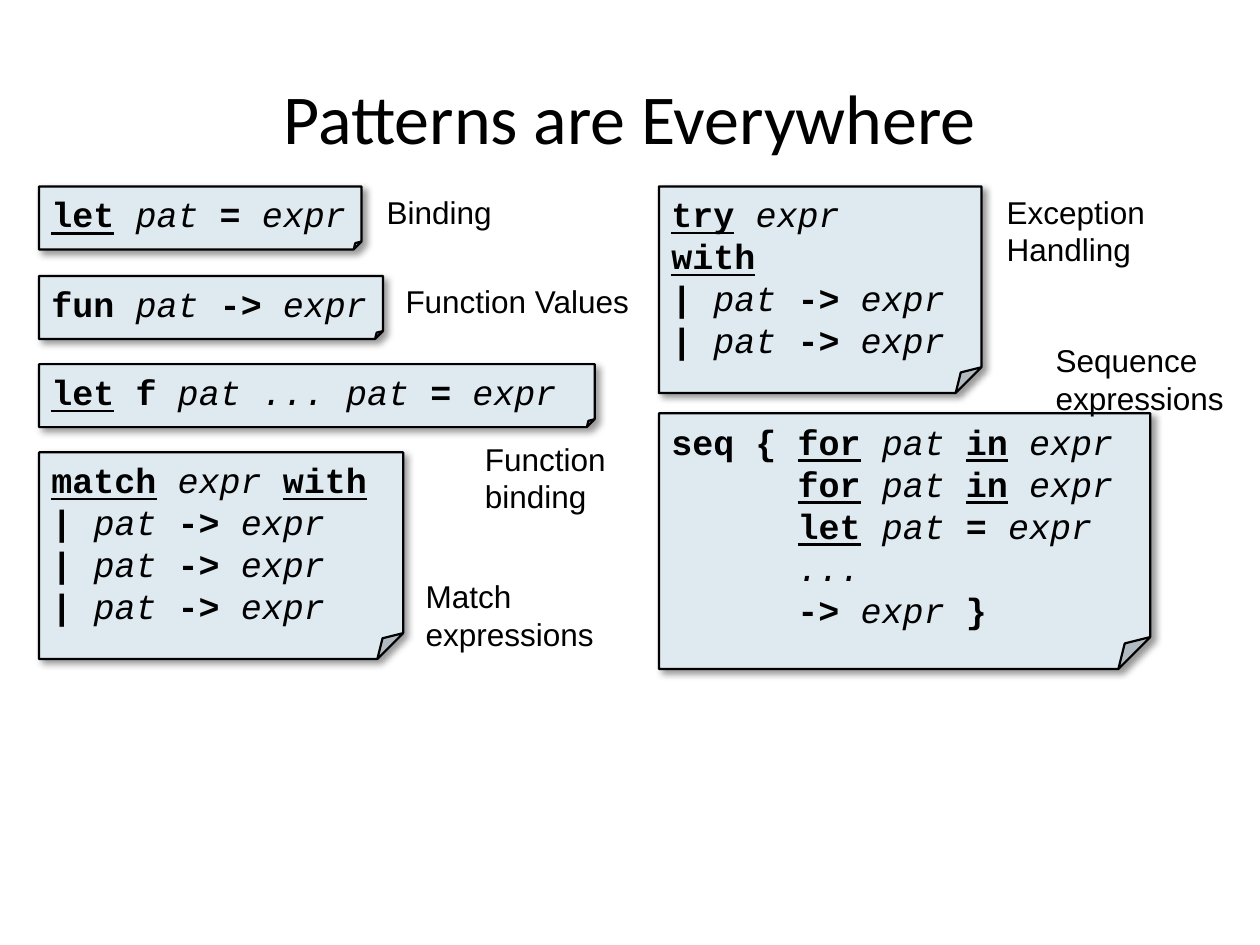
import itertools

import lxml.etree
import pptx
import pptx.dml.color
import pptx.enum.shapes
import pptx.enum.text
import pptx.oxml
import pptx.oxml.ns
import pptx.util
from pptx.util import Inches

TITLE = "Patterns are Everywhere"
COLORS = {"text": "000000", "paper": "DEE9F0", "line": "000000", "shadow": "000000"}
KEYWORDS = {"let", "match", "with", "try", "for", "in"}
PLACEHOLDERS = {"pat", "expr", "..."}
LEFT, RIGHT = 0.31, 5.23
RULE = "| pat -> expr"

SNIPPETS = [
    (LEFT, 1.48, 2.56, 0.5, ["let pat = expr"]),
    (LEFT, 2.19, 2.73, 0.5, ["fun pat -> expr"]),
    (LEFT, 2.89, 4.41, 0.5, ["let f pat ... pat = expr"]),
    (LEFT, 3.59, 2.89, 1.64, ["match expr with "] + [RULE] * 3),
    (RIGHT, 3.28, 3.9, 2.03, [
        "seq { for pat in expr",
        "      for pat in expr",
        "      let pat = expr",
        "      ...",
        "      -> expr }",
    ]),
    (RIGHT, 1.48, 2.56, 1.64, ["try expr", "with "] + [RULE] * 2),
]

LABELS = [
    (2.97, 1.48, 1.04, 0.4, "Binding"),
    (3.12, 2.19, 2.42, 0.4, "Function Values"),
    (3.75, 3.44, 1.17, 0.71, "Function\nbinding"),
    (3.28, 4.53, 1.55, 0.71, "Match\nexpressions"),
    (7.89, 1.48, 1.31, 0.71, "Exception\nHandling"),
    (8.28, 2.66, 1.55, 0.71, "Sequence\nexpressions"),
]

SHADOW = (
    f'<a:effectLst {pptx.oxml.ns.nsdecls("a")}>'
    f'<a:outerShdw blurRad="{pptx.util.Pt(4)}" dist="{pptx.util.Pt(3)}" dir="{45 * 60000}"'
    ' algn="tl" rotWithShape="0">'
    f'<a:srgbClr val="{COLORS["shadow"]}"><a:alpha val="40000"/></a:srgbClr>'
    "</a:outerShdw></a:effectLst>"
)


def rgb(name):
    return pptx.dml.color.RGBColor.from_string(COLORS[name])


def style_font(font, name, size):
    font.name = name
    font.size = pptx.util.Pt(size)
    font.color.rgb = rgb("text")


def word_style(word):
    if word in KEYWORDS:
        return "keyword"
    return "placeholder" if word in PLACEHOLDERS else "plain"


def add_code(p, line):
    p.alignment = pptx.enum.text.PP_ALIGN.LEFT
    words = line.replace(" ", "\n \n").split("\n")
    for style, group in itertools.groupby(filter(None, words), word_style):
        r = p.add_run()
        r.text = "".join(group)
        style_font(r.font, "Courier New", 20)
        r.font.bold = style != "placeholder"
        r.font.italic = style == "placeholder"
        r.font.underline = style == "keyword"


def set_fold(sp, fraction):
    qn = pptx.oxml.ns.qn
    guides = next(sp._element.spPr.iter(qn("a:avLst")))
    lxml.etree.SubElement(
        guides, qn("a:gd"), name="adj", fmla=f"val {round(fraction * 100000)}")


def add_snippet(s, x, y, w, h, lines):
    sp = s.shapes.add_shape(
        pptx.enum.shapes.MSO_SHAPE.FOLDED_CORNER, *map(Inches, (x, y, w, h)))
    set_fold(sp, 0.125)
    sp.fill.solid()
    sp.fill.fore_color.rgb = rgb("paper")
    sp.line.color.rgb = rgb("line")
    sp.line.width = pptx.util.Pt(1.25)
    sp._element.spPr.append(pptx.oxml.parse_xml(SHADOW))
    tf = sp.text_frame
    tf.word_wrap = False
    tf.auto_size = pptx.enum.text.MSO_AUTO_SIZE.SHAPE_TO_FIT_TEXT
    tf.vertical_anchor = pptx.enum.text.MSO_ANCHOR.MIDDLE
    for i, line in enumerate(lines):
        add_code(tf.add_paragraph() if i else tf.paragraphs[0], line)


def add_text(s, x, y, w, h, text, font, size):
    tf = s.shapes.add_textbox(*map(Inches, (x, y, w, h))).text_frame
    tf.word_wrap = True
    tf.text = text
    for p in tf.paragraphs:
        style_font(p.runs[0].font, font, size)
    return tf


def main():
    prs = pptx.Presentation()
    prs.slide_width, prs.slide_height = Inches(10), Inches(7.5)
    s = prs.slides.add_slide(prs.slide_layouts[6])

    tf = add_text(s, 0.5, 0.3, 9, 1.25, TITLE, "Calibri", 40)
    tf.vertical_anchor = pptx.enum.text.MSO_ANCHOR.MIDDLE
    tf.paragraphs[0].alignment = pptx.enum.text.PP_ALIGN.CENTER

    for snippet in SNIPPETS:
        add_snippet(s, *snippet)
    for label in LABELS:
        tf = add_text(s, *label, "Arial", 18)
        tf.word_wrap = label[-1] == "Function Values"
        tf.auto_size = pptx.enum.text.MSO_AUTO_SIZE.SHAPE_TO_FIT_TEXT

    prs.save("out.pptx")


if __name__ == "__main__":
    main()
